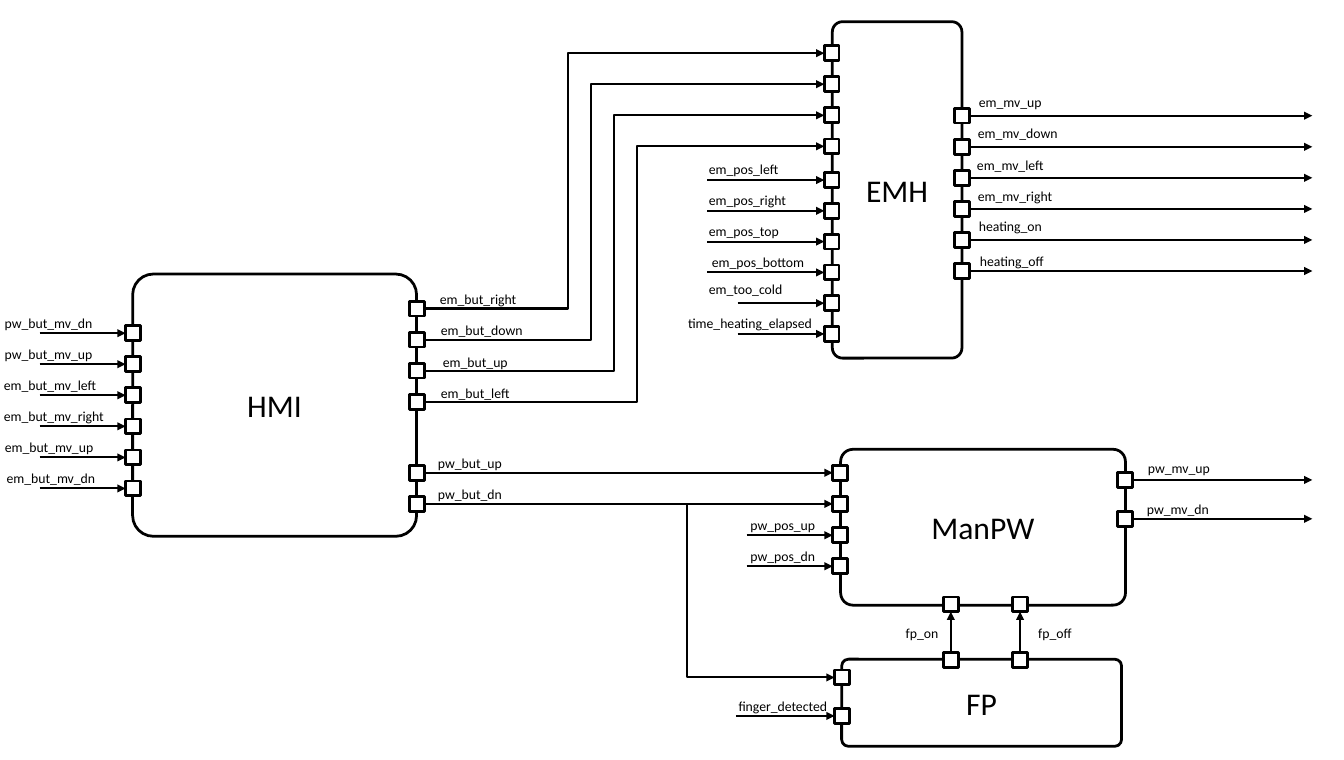
import lxml.etree
import pptx
import pptx.dml.color
import pptx.enum.shapes
import pptx.enum.text
import pptx.oxml.ns
import pptx.shapes.autoshape
import pptx.util

Pt = pptx.util.Pt
SHAPES = pptx.enum.shapes.MSO_SHAPE
CONNECTORS = pptx.enum.shapes.MSO_CONNECTOR
TOP, LEFT, BOTTOM, RIGHT = range(4)
BLACK, WHITE = "000000", "FFFFFF"
PORT_SIZE = 10.8
ROW = 22.6
OUTPUT_END = 955.4

# Each label: name, left, width, rise above its wire
HMI_INPUTS = [
    ("pw_but_mv_dn", -3.6, 79.2, 17), ("pw_but_mv_up", -3.6, 79.2, 17),
    ("em_but_mv_left", -4.3, 83.5, 17), ("em_but_mv_right", -4.3, 88.6, 17),
    ("em_but_mv_up", -3.6, 79.9, 17), ("em_but_mv_dn", -2.2, 79.9, 17),
]
EM_BUTTONS = [
    ("em_but_right", 313.2, 71.3, 16.2), ("em_but_down", 313.9, 74.9, 16.2),
    ("em_but_up", 315.4, 62.6, 16.2), ("em_but_left", 313.9, 65.5, 16.2),
]
PW_BUTTONS = [("pw_but_up", 311.8, 61.9, 17), ("pw_but_dn", 311.8, 61.9, 17)]
EMH_SENSORS = [
    ("em_pos_left", 509, 66.2, 17.3), ("em_pos_right", 509, 71.3, 17.3),
    ("em_pos_top", 509, 66.2, 17.3), ("em_pos_bottom", 511.2, 82.8, 17.3),
    ("em_too_cold", 509, 69.1, 19.8), ("time_heating_elapsed", 493.9, 105.8, 17.3),
]
EMH_OUTPUTS = [
    ("em_mv_up", 705.6, 61.2, 19.4), ("em_mv_down", 704.9, 73.4, 19.4),
    ("em_mv_left", 704.2, 64.1, 19.2), ("em_mv_right", 704.9, 69.8, 19),
    ("heating_on", 705.6, 61.2, 19.4), ("heating_off", 706.3, 61.9, 16.8),
]
PW_POSITIONS = [("pw_pos_up", 539.3, 61.9, 17.3), ("pw_pos_dn", 539.3, 61.9, 17.3)]
PW_OUTPUTS = [("pw_mv_up", 828.7, 60.5, 18), ("pw_mv_dn", 828, 60.5, 17)]
FINGER = [("finger_detected", 530.6, 80.6, 17)]


def color(hex_code):
    return pptx.dml.color.RGBColor.from_string(hex_code)


def add_text(para, text, size):
    span = para.add_run()
    span.text = text
    span.font.name = "Calibri"
    span.font.size = Pt(size)
    span.font.color.rgb = color(BLACK)


def add_outlined(page, shape_kind, left, top, width, height):
    box = page.shapes.add_shape(shape_kind, Pt(left), Pt(top), Pt(width), Pt(height))
    box.shadow.inherit = False
    box.fill.solid()
    box.fill.fore_color.rgb = color(WHITE)
    box.line.color.rgb = color(BLACK)
    box.line.width = Pt(2)
    return box


def add_block(page, name, left, top, width, height):
    box = add_outlined(page, SHAPES.ROUNDED_RECTANGLE, left, top, width, height)
    box.adjustments[0] = 0.079
    box.text_frame.vertical_anchor = pptx.enum.text.MSO_ANCHOR.MIDDLE
    para = box.text_frame.paragraphs[0]
    para.alignment = pptx.enum.text.PP_ALIGN.CENTER
    add_text(para, name, 23)


def add_port(page, x, y):
    """Draw a small square centred on (x, y)."""
    return add_outlined(page, SHAPES.RECTANGLE, x - PORT_SIZE / 2, y - PORT_SIZE / 2,
                        PORT_SIZE, PORT_SIZE)


def add_label(page, name, left, top, width):
    box = page.shapes.add_textbox(Pt(left), Pt(top), Pt(width), Pt(19.4))
    box.text_frame.word_wrap = False
    box.text_frame.auto_size = pptx.enum.text.MSO_AUTO_SIZE.SHAPE_TO_FIT_TEXT
    add_text(box.text_frame.paragraphs[0], name, 10)


def add_wire(page, start, end, turn=None):
    """Draw an arrow; each end is (x, y) or (port, side), turn is the x of a bend."""
    kind = CONNECTORS.STRAIGHT if turn is None else CONNECTORS.ELBOW
    wire = page.shapes.add_connector(kind, 0, 0, 0, 0)
    if isinstance(start[0], pptx.shapes.autoshape.Shape):
        wire.begin_connect(*start)
    else:
        wire.begin_x, wire.begin_y = Pt(start[0]), Pt(start[1])
    if isinstance(end[0], pptx.shapes.autoshape.Shape):
        wire.end_connect(*end)
    else:
        wire.end_x, wire.end_y = Pt(end[0]), Pt(end[1])
    wire.line.color.rgb = color(BLACK)
    wire.line.width = Pt(1.5)
    properties = wire.element.spPr
    qn = pptx.oxml.ns.qn
    lxml.etree.SubElement(properties.find(qn("a:ln")), qn("a:tailEnd"), type="triangle")
    lxml.etree.SubElement(properties, qn("a:effectLst"))
    if turn is not None:
        share = (Pt(turn) - wire.begin_x) / (wire.end_x - wire.begin_x)
        guides = properties.find(qn("a:prstGeom")).find(qn("a:avLst"))
        lxml.etree.SubElement(guides, qn("a:gd"), name="adj1",
                              fmla=f"val {round(share * 100000)}")


def rows(first, pitch, count):
    return [first + pitch * index for index in range(count)]


def add_ports(page, x, heights, labels=()):
    """Draw a column of ports and the labels of their wires."""
    for y, (name, left, width, rise) in zip(heights, labels):
        add_label(page, name, left, y - rise, width)
    return [add_port(page, x, y) for y in heights]


def add_inputs(page, x, heights, labels, wire_starts):
    ports = add_ports(page, x, heights, labels)
    for port, y, wire_start in zip(ports, heights, wire_starts):
        add_wire(page, (wire_start, y), (port, LEFT))


def add_outputs(page, x, heights, labels):
    for port, y in zip(add_ports(page, x, heights, labels), heights):
        add_wire(page, (port, RIGHT), (OUTPUT_END, y))


def main():
    deck = pptx.Presentation()
    deck.slide_width, deck.slide_height = Pt(978.48), Pt(552.96)
    page = deck.slides.add_slide(deck.slide_layouts[6])

    add_block(page, "ManPW", 612, 326.9, 207.4, 113.4)
    add_block(page, "EMH", 606, 15.8, 94.4, 244.8)
    add_block(page, "HMI", 96.6, 199.4, 206.7, 190.8)
    add_block(page, "FP", 612.8, 479.6, 203.8, 63.4)

    add_inputs(page, 96.8, rows(242.4, ROW, 6), HMI_INPUTS, [28.8] * 6)
    add_inputs(page, 605.5, rows(131, 22.4, 6), EMH_SENSORS, [514.8] * 4 + [537.1] * 2)
    add_inputs(page, 611.6, rows(389.4, ROW, 2), PW_POSITIONS, [543.6] * 2)
    add_inputs(page, 613, [520.9], FINGER, [535.7])
    add_outputs(page, 700.2, rows(84.2, ROW, 6), EMH_OUTPUTS)
    add_outputs(page, 819, [349.2, 377.5], PW_OUTPUTS)

    em_sources = add_ports(page, 303.5, rows(224.5, ROW, 4), EM_BUTTONS)
    em_targets = add_ports(page, 605.5, rows(38.7, ROW, 4))
    for source, target, turn in zip(em_sources, em_targets, rows(413.5, 16.7, 4)):
        add_wire(page, (source, RIGHT), (target, LEFT), turn)

    pw_rows = rows(344, ROW, 2)
    pw_sources = add_ports(page, 303.5, pw_rows, PW_BUTTONS)
    pw_targets = add_ports(page, 611.6, pw_rows)
    for source, target in zip(pw_sources, pw_targets):
        add_wire(page, (source, RIGHT), (target, LEFT))

    branch_x = 500.4
    finger_port = add_port(page, 613, 492.9)
    add_wire(page, (branch_x, pw_rows[-1]), (finger_port, LEFT), branch_x)

    for name, x, left, width in [("fp_on", 692.2, 652.3, 38.2),
                                 ("fp_off", 742.7, 748.8, 39.6)]:
        add_label(page, name, left, 451.4, width)
        add_wire(page, (add_port(page, x, 480), TOP), (add_port(page, x, 439.7), BOTTOM))

    deck.save("out.pptx")


if __name__ == "__main__":
    main()
